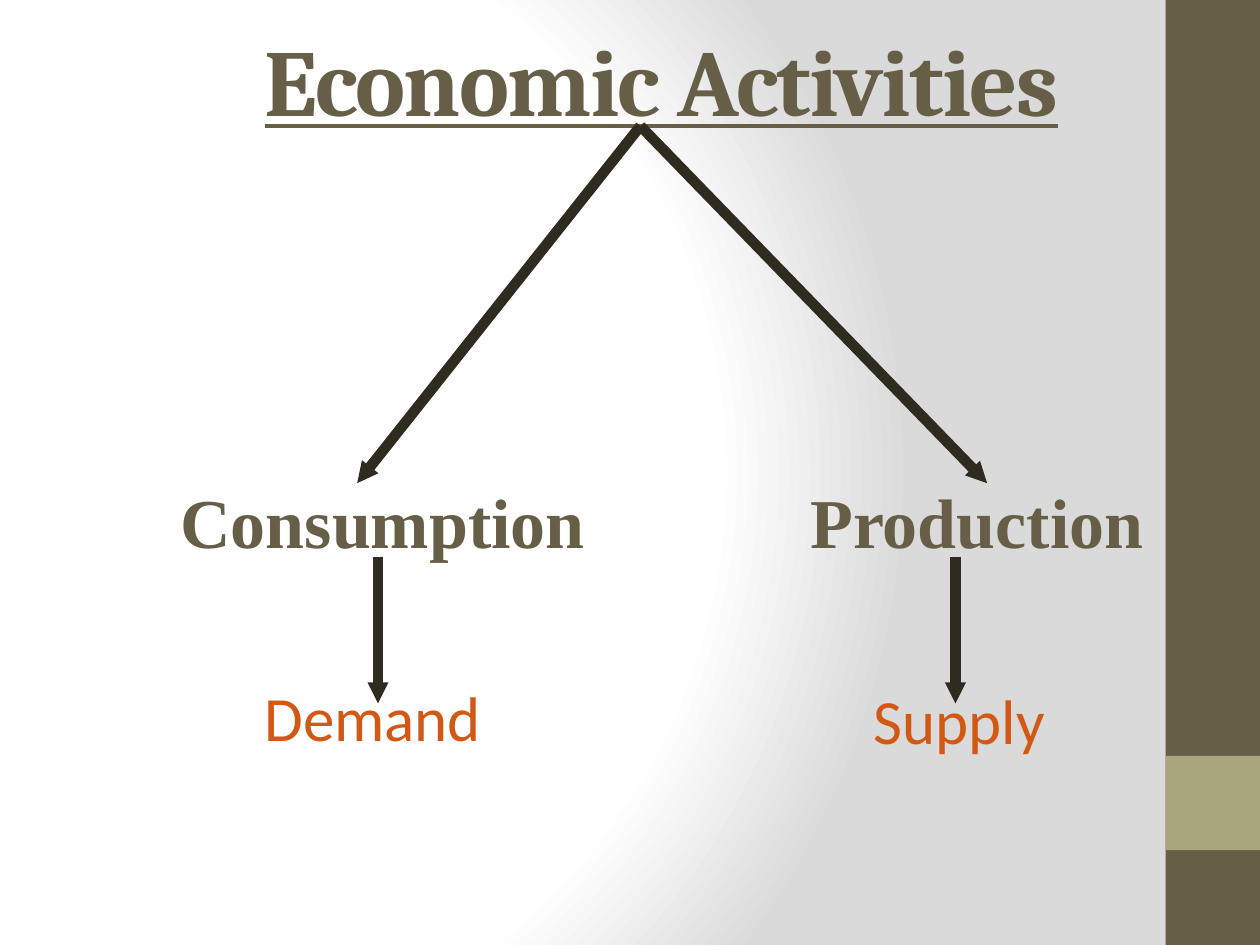
"""Build a slide that splits economic activities into consumption and production."""
from lxml.etree import SubElement
from pptx import Presentation
from pptx.dml.color import RGBColor
from pptx.enum.shapes import MSO_CONNECTOR, MSO_SHAPE
from pptx.enum.text import MSO_ANCHOR, MSO_AUTO_SIZE, PP_ALIGN
from pptx.oxml.ns import qn
from pptx.util import Cm, Pt

BROWN = RGBColor(0x67, 0x5E, 0x47)
OLIVE = RGBColor(0xA9, 0xA5, 0x7C)
DARK = RGBColor(0x2F, 0x2B, 0x20)
RUST = RGBColor(0xD2, 0x58, 0x14)
WHITE = RGBColor(0xFF, 0xFF, 0xFF)
GREY = RGBColor(0xDA, 0xDA, 0xDA)

WIDE, HIGH = 25.4, 19.05
BAND = 1.9
STOPS = [(0, WHITE), (75, WHITE), (100, GREY)]
FOCUS = {"l": 20, "t": 50, "r": 100, "b": 50}
BARS = [(0, HIGH, BROWN), (15.24, BAND, OLIVE)]

HEAD = {"name": "Cambria", "size": Pt(54), "bold": True, "underline": True}
MAIN = {"name": "Times New Roman", "size": Pt(40), "bold": True}
LEAF = {"name": "Calibri", "size": Pt(36)}

TITLE = ("Economic Activities", (2.92, 0, 20.83, 3.18), HEAD, BROWN)
LABELS = [
    ("Consumption", (3.39, 9.53, 8.66, 1.96), MAIN, BROWN),
    ("Production", (16.09, 9.53, 7.26, 1.96), MAIN, BROWN),
    ("Demand", (5.08, 13.55, 5.11, 1.78), LEAF, RUST),
    ("Supply", (17.36, 13.61, 4.32, 1.78), LEAF, RUST),
]
ROOT = (12.91, 2.54)
ENDS = [7.2, 19.9]
STEMS = [7.62, 19.26]
ARROWS = [(*ROOT, x, 9.74) for x in ENDS]
ARROWS += [(x, 11.22, x, 14.18) for x in STEMS]


def paint(slide):
    fill = slide.background.fill
    fill.gradient()
    grad = next(slide.element.iter(qn("a:gradFill")))
    for part in list(grad):
        grad.remove(part)
    stops = SubElement(grad, qn("a:gsLst"))
    for spot, tone in STOPS:
        stop = SubElement(stops, qn("a:gs"), pos=str(spot * 1000))
        SubElement(stop, qn("a:srgbClr"), val=str(tone))
    ring = SubElement(grad, qn("a:path"), {"path": "circle"})
    rect = {side: str(share * 1000) for side, share in FOCUS.items()}
    SubElement(ring, qn("a:fillToRect"), rect)


def add_bar(slide, top, high, tone):
    spot = map(Cm, (WIDE - BAND, top, BAND, high))
    bar = slide.shapes.add_shape(MSO_SHAPE.RECTANGLE, *spot)
    bar.shadow.inherit = False
    bar.fill.solid()
    bar.fill.fore_color.rgb = tone
    bar.line.fill.background()


def add_text(slide, words, spot, style, tone):
    box = slide.shapes.add_textbox(*map(Cm, spot))
    frame = box.text_frame
    frame.word_wrap = False
    frame.auto_size = MSO_AUTO_SIZE.SHAPE_TO_FIT_TEXT
    run = frame.paragraphs[0].add_run()
    run.text = words
    for key, value in style.items():
        setattr(run.font, key, value)
    run.font.color.rgb = tone
    return frame


def add_title(slide):
    frame = add_text(slide, *TITLE)
    form = {
        "word_wrap": True,
        "auto_size": MSO_AUTO_SIZE.NONE,
        "vertical_anchor": MSO_ANCHOR.MIDDLE,
    }
    for key, value in form.items():
        setattr(frame, key, value)
    line = frame.paragraphs[0]
    line.alignment = PP_ALIGN.CENTER
    line.runs[0].font._element.set("spc", "-100")


def add_arrow(slide, ends):
    arrow = slide.shapes.add_connector(MSO_CONNECTOR.STRAIGHT, *map(Cm, ends))
    arrow.line.color.rgb = DARK
    arrow.line.width = Pt(6)
    tip = {"type": "triangle", "w": "sm", "len": "sm"}
    SubElement(arrow.line._get_or_add_ln(), qn("a:tailEnd"), tip)
    SubElement(arrow._element.spPr, qn("a:effectLst"))


def main():
    deck = Presentation()
    deck.slide_width, deck.slide_height = Cm(WIDE), Cm(HIGH)
    slide = deck.slides.add_slide(deck.slide_layouts[6])
    paint(slide)
    for bar in BARS:
        add_bar(slide, *bar)
    add_title(slide)
    for label in LABELS:
        add_text(slide, *label)
    for ends in ARROWS:
        add_arrow(slide, ends)
    deck.save("out.pptx")


if __name__ == "__main__":
    main()
